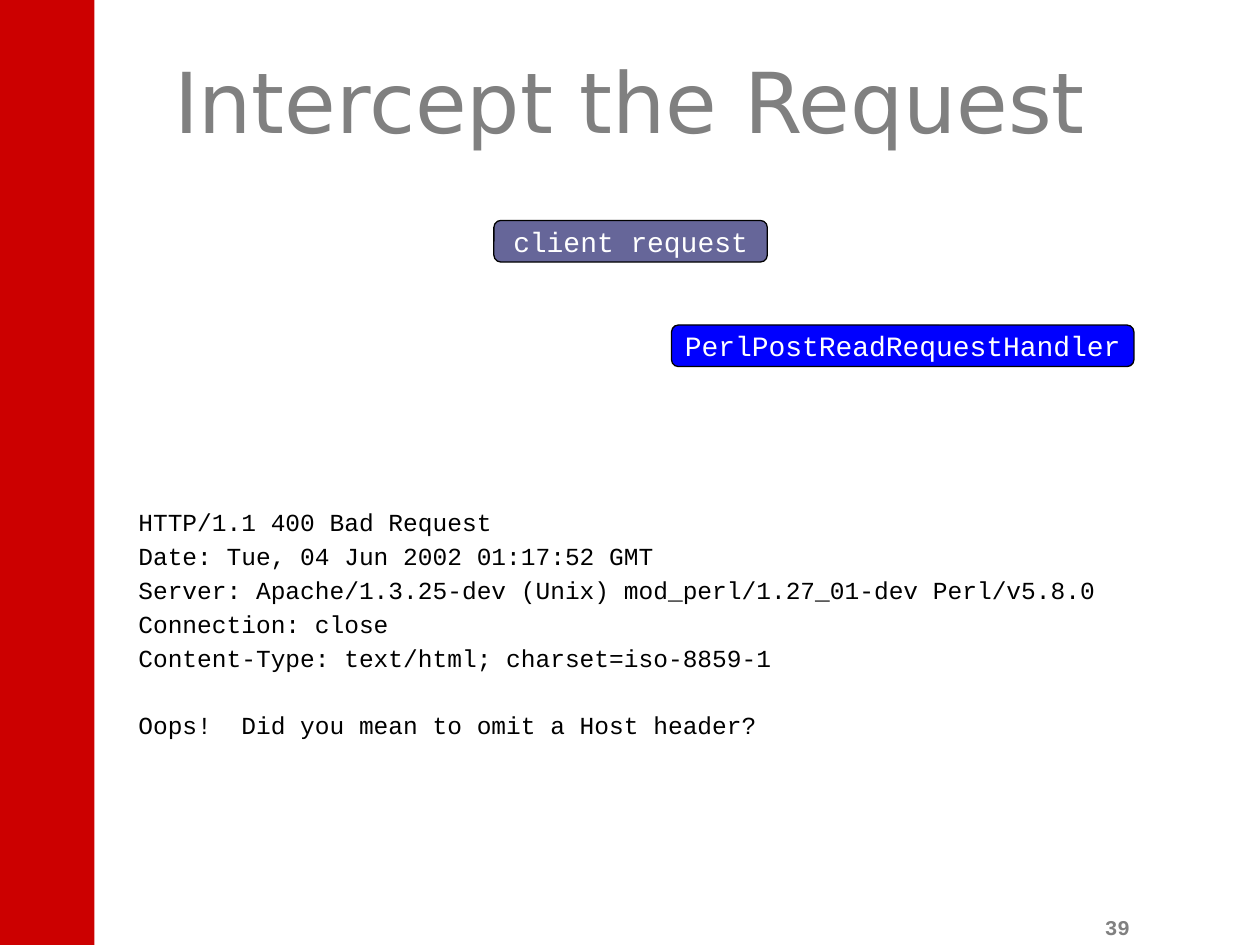
from dataclasses import dataclass

import pptx
import pptx.dml.color
import pptx.enum.shapes
import pptx.enum.text
import pptx.slide
import pptx.text.text
import pptx.util
from pptx.util import Inches

RGBColor = pptx.dml.color.RGBColor
Shape = pptx.enum.shapes.MSO_SHAPE
Align = pptx.enum.text.PP_ALIGN
Anchor = pptx.enum.text.MSO_ANCHOR


@dataclass(frozen=True)
class Theme:
    red: RGBColor = RGBColor(0xCC, 0x00, 0x00)
    gray: RGBColor = RGBColor(0x80, 0x80, 0x80)
    slate: RGBColor = RGBColor(0x66, 0x66, 0x99)
    blue: RGBColor = RGBColor(0x00, 0x00, 0xFF)
    black: RGBColor = RGBColor(0x00, 0x00, 0x00)
    white: RGBColor = RGBColor(0xFF, 0xFF, 0xFF)
    title_font: str = "DejaVu Sans"
    code_font: str = "Courier New"
    title_size: float = 48
    stage_size: float = 16
    response_size: float = 14
    number_size: float = 12


THEME = Theme()


@dataclass(frozen=True)
class Stage:
    label: str
    left: float
    top: float
    width: float
    color: RGBColor


STAGES = [
    Stage("client request", 3.92, 1.75, 2.17, THEME.slate),
    Stage("PerlPostReadRequestHandler", 5.33, 2.58, 3.67, THEME.blue),
]
STAGE_HEIGHT = 0.33

RESPONSE_HEADERS = [
    "HTTP/1.1 400 Bad Request",
    "Date: Tue, 04 Jun 2002 01:17:52 GMT",
    "Server: Apache/1.3.25-dev (Unix) mod_perl/1.27_01-dev Perl/v5.8.0",
    "Connection: close",
    "Content-Type: text/html; charset=iso-8859-1",
]
RESPONSE_BODY = "Oops!  Did you mean to omit a Host header?"
LINE_SPACING = 0.6
LINE_GAP = 9.3
BODY_GAP = 28.1


def add_run(paragraph: pptx.text.text._Paragraph, text: str, font_name: str,
            size: float, color: RGBColor, bold: bool = False) -> None:
    run = paragraph.add_run()
    run.text = text
    run.font.name = font_name
    run.font.size = pptx.util.Pt(size)
    run.font.color.rgb = color
    run.font.bold = bold


def add_sidebar(slide: pptx.slide.Slide) -> None:
    sidebar = slide.shapes.add_shape(Shape.RECTANGLE, 0, 0, Inches(0.75), Inches(7.5))
    sidebar.shadow.inherit = False
    sidebar.fill.solid()
    sidebar.fill.fore_color.rgb = THEME.red
    sidebar.line.fill.background()


def add_title(slide: pptx.slide.Slide, text: str) -> None:
    title = slide.shapes.title
    title.left, title.top = Inches(0.75), Inches(0.17)
    title.width, title.height = Inches(8.5), Inches(1.25)
    title.text_frame.vertical_anchor = Anchor.MIDDLE
    paragraph = title.text_frame.paragraphs[0]
    paragraph.alignment = Align.CENTER
    add_run(paragraph, text, THEME.title_font, THEME.title_size, THEME.gray)


def add_stage(slide: pptx.slide.Slide, stage: Stage) -> None:
    shape = slide.shapes.add_shape(
        Shape.ROUNDED_RECTANGLE, Inches(stage.left), Inches(stage.top),
        Inches(stage.width), Inches(STAGE_HEIGHT))
    shape.shadow.inherit = False
    shape.fill.solid()
    shape.fill.fore_color.rgb = stage.color
    shape.line.color.rgb = THEME.black
    shape.line.width = pptx.util.Pt(0.75)
    frame = shape.text_frame
    frame.word_wrap = False
    frame.vertical_anchor = Anchor.MIDDLE
    paragraph = frame.paragraphs[0]
    paragraph.alignment = Align.CENTER
    add_run(paragraph, stage.label, THEME.code_font, THEME.stage_size, THEME.white)


def add_response(slide: pptx.slide.Slide) -> None:
    box = slide.shapes.add_textbox(Inches(1), Inches(4.06), Inches(8.5), Inches(1.81))
    frame = box.text_frame
    frame.word_wrap = True
    gaps = [0] + [LINE_GAP] * (len(RESPONSE_HEADERS) - 1) + [BODY_GAP]
    for index, (text, gap) in enumerate(zip([*RESPONSE_HEADERS, RESPONSE_BODY], gaps)):
        paragraph = frame.add_paragraph() if index else frame.paragraphs[0]
        paragraph.line_spacing = LINE_SPACING
        paragraph.space_before = pptx.util.Pt(gap)
        add_run(paragraph, text, THEME.code_font, THEME.response_size, THEME.black)


def add_slide_number(slide: pptx.slide.Slide, number: str) -> None:
    box = slide.shapes.add_textbox(Inches(8.67), Inches(7), Inches(0.58), Inches(0.5))
    frame = box.text_frame
    frame.word_wrap = True
    frame.vertical_anchor = Anchor.BOTTOM
    frame.margin_bottom = Inches(0.04)
    add_run(frame.paragraphs[0], number, THEME.code_font, THEME.number_size,
            THEME.gray, bold=True)


def main() -> None:
    presentation = pptx.Presentation()
    presentation.slide_width, presentation.slide_height = Inches(10), Inches(7.5)
    title_only = presentation.slide_layouts.get_by_name("Title Only")
    slide = presentation.slides.add_slide(title_only)
    add_slide_number(slide, "39")
    add_sidebar(slide)
    add_title(slide, "Intercept the Request")
    add_response(slide)
    for stage in STAGES:
        add_stage(slide, stage)
    presentation.save("out.pptx")


if __name__ == "__main__":
    main()
